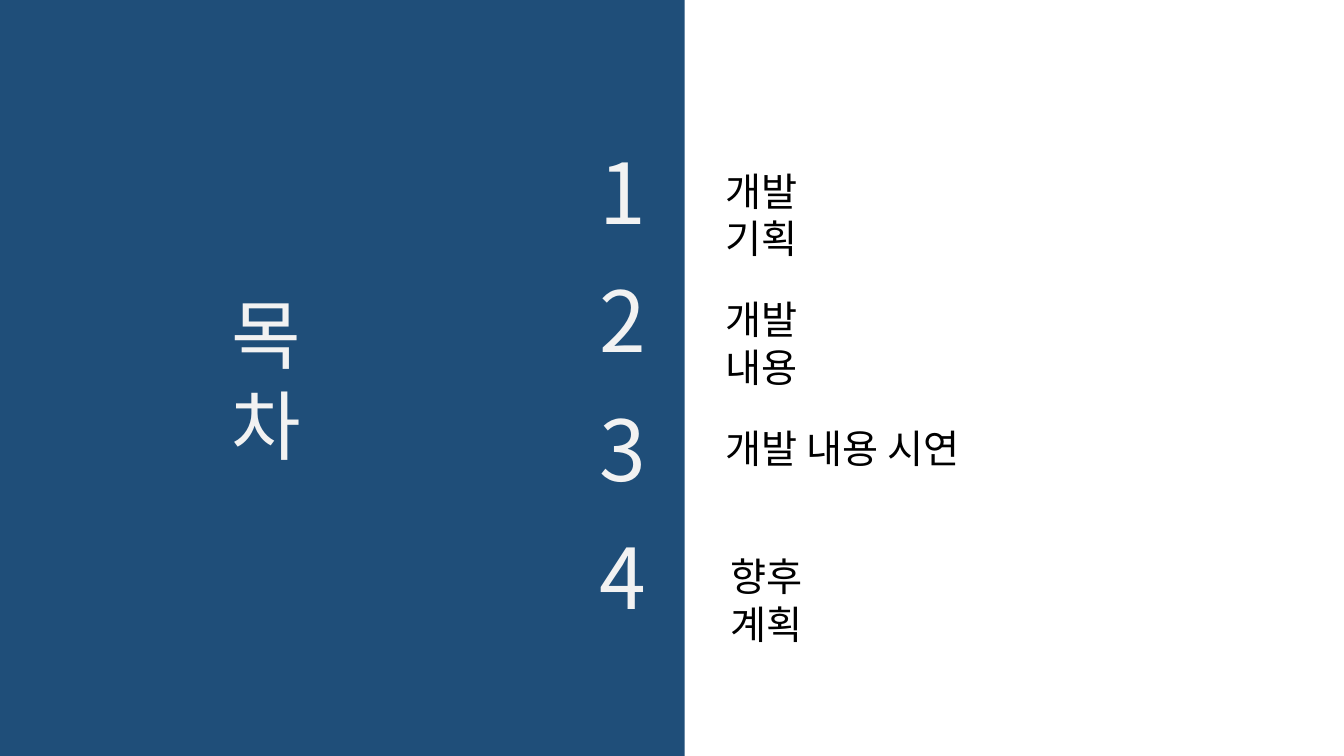
from lxml.etree import SubElement
from pptx import Presentation
from pptx.dml.color import RGBColor
from pptx.enum.shapes import MSO_SHAPE
from pptx.enum.text import MSO_ANCHOR, MSO_AUTO_SIZE, PP_ALIGN
from pptx.oxml.ns import qn
from pptx.util import Inches, Pt

FONT = "Noto Sans CJK KR"
NAVY, PALE, BLACK = "1F4E79", "F2F2F2", "000000"
# Label, left edge, width
TOPICS = [
    ("개발 기획", 7.1, 1.7),
    ("개발 내용", 7.1, 1.7),
    ("개발 내용 시연", 7.1, 2.74),
    ("향후 계획", 7.15, 1.7),
]
TOPIC_STEP = 1.275


def color(value):
    return RGBColor.from_string(value)


def write(shape, text, size, ink, wrap=False, anchor=MSO_ANCHOR.TOP):
    """Put one left-aligned paragraph in the shape, with Latin and Korean fonts set."""
    frame = shape.text_frame
    frame.text = text
    frame.word_wrap = wrap
    frame.auto_size = MSO_AUTO_SIZE.SHAPE_TO_FIT_TEXT
    frame.vertical_anchor = anchor
    para = frame.paragraphs[0]
    para.alignment = PP_ALIGN.LEFT
    para.line_spacing = 1.0
    para.font.size = Pt(size)
    para.font.color.rgb = color(ink)
    para.font.name = FONT
    for properties in shape.element.iter(qn("a:defRPr")):
        SubElement(properties, qn("a:ea"), typeface=FONT)


def add_block(slide, left, top, width, height):
    block = slide.shapes.add_shape(
        MSO_SHAPE.RECTANGLE, Inches(left), Inches(top), Inches(width), Inches(height)
    )
    block.shadow.inherit = False
    block.fill.solid()
    block.fill.fore_color.rgb = color(NAVY)
    block.line.fill.background()
    return block


def add_title_panel(slide, left, top, width, height):
    panel = add_block(slide, left, top, width, height)
    title = slide.shapes.title
    panel.element.addnext(title.element)
    title.left, title.top = Inches(left + 2.2), Inches(top + 3.25)
    title.width, title.height = Inches(1.58), Inches(1.01)
    write(title, "목차", 54, PALE, anchor=MSO_ANCHOR.MIDDLE)


def add_topic(slide, number, label, left, top, width):
    """Place the number on the panel and its label to the right of it."""
    block = add_block(slide, 5.85, top, 0.72, 1.11)
    write(block, str(number), 60, PALE)
    box = slide.shapes.add_textbox(
        Inches(left), Inches(top + 0.27), Inches(width), Inches(0.57)
    )
    write(box, label, 28, BLACK, wrap=True)


def add_contents_slide(deck):
    slide = deck.slides.add_slide(deck.slide_layouts.get_by_name("Title Only"))
    add_title_panel(slide, 0, 0, 6.79, 7.5)
    for index, (label, left, width) in enumerate(TOPICS):
        add_topic(slide, index + 1, label, left, 1.34 + index * TOPIC_STEP, width)


def main():
    deck = Presentation()
    deck.slide_width, deck.slide_height = Inches(13.33), Inches(7.5)
    add_contents_slide(deck)
    deck.save("out.pptx")


if __name__ == "__main__":
    main()
